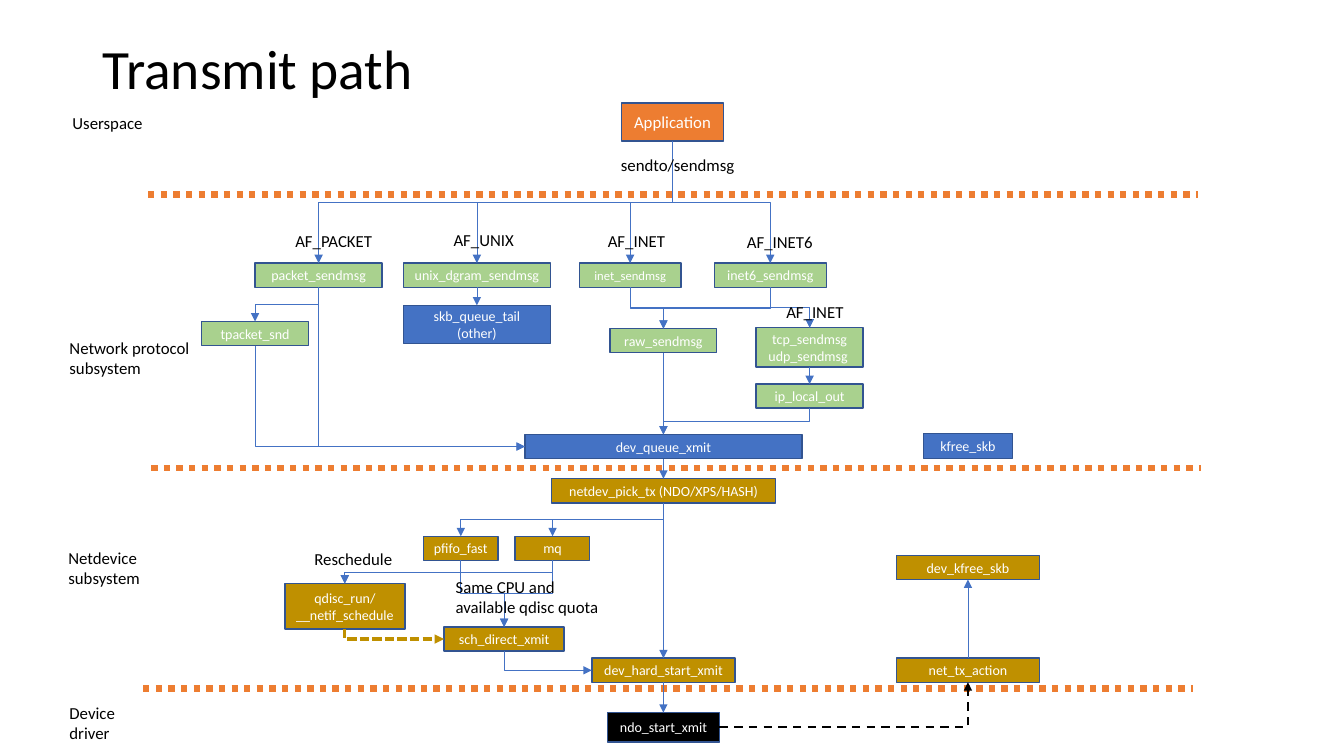
import lxml.etree
import pptx
import pptx.dml.color
import pptx.enum.dml
import pptx.enum.shapes
import pptx.enum.text
import pptx.oxml.ns
import pptx.util

Inches = pptx.util.Inches
Pt = pptx.util.Pt
qn = pptx.oxml.ns.qn
DASH = pptx.enum.dml.MSO_LINE
ALIGN = pptx.enum.text.PP_ALIGN
ANCHOR = pptx.enum.text.MSO_ANCHOR
AUTO_SIZE = pptx.enum.text.MSO_AUTO_SIZE
CONNECTOR = pptx.enum.shapes.MSO_CONNECTOR
RECTANGLE = pptx.enum.shapes.MSO_SHAPE.RECTANGLE

FONT = "Calibri"
COLORS = {
    "orange": "ED7D31", "green": "A9D18E", "blue": "4472C4", "gold": "BF9000",
    "black": "000000", "white": "FFFFFF", "outline": "325491",
}
TOP, LEFT, BOTTOM, RIGHT = range(4)

TITLE = ("Transmit path", 0.92, 0.4, 11.5, 0.62)

# name: lines, centre x, top, width, height, fill, text size
BOXES = {
    "application": (["Application"], 6.67, 1.02, 1.01, 0.38, "orange", 12),
    "packet": (["packet_sendmsg"], 3.16, 2.61, 1.26, 0.24, "green", 10),
    "unix": (["unix_dgram_sendmsg"], 4.73, 2.61, 1.46, 0.24, "green", 10),
    "inet": (["inet_sendmsg"], 6.25, 2.61, 1.01, 0.24, "green", 9),
    "inet6": (["inet6_sendmsg"], 7.64, 2.61, 1.11, 0.24, "green", 10),
    "queue_tail": (["skb_queue_tail (other)"], 4.73, 3.03, 1.46, 0.38, "blue", 10),
    "tcp_udp": (["tcp_sendmsg", "udp_sendmsg "], 8.03, 3.25, 1.06, 0.39, "green", 10),
    "raw": (["raw_sendmsg"], 6.58, 3.26, 1.06, 0.24, "green", 10),
    "tpacket": (["tpacket_snd"], 2.53, 3.19, 1.06, 0.24, "green", 10),
    "ip_out": (["ip_local_out"], 8.03, 3.81, 1.06, 0.24, "green", 10),
    "dev_queue": (["dev_queue_xmit"], 6.58, 4.31, 2.75, 0.24, "blue", 10),
    "kfree": (["kfree_skb"], 9.6, 4.3, 0.88, 0.25, "blue", 10),
    "pick_tx": (["netdev_pick_tx (NDO/XPS/HASH)"], 6.58, 4.75, 2.22, 0.24, "gold", 10),
    "pfifo": (["pfifo_fast"], 4.57, 5.32, 0.74, 0.24, "gold", 10),
    "mq": (["mq"], 5.48, 5.32, 0.74, 0.24, "gold", 10),
    "qdisc": (["qdisc_run/__netif_schedule"], 3.42, 5.79, 1.19, 0.45, "gold", 10),
    "direct": (["sch_direct_xmit"], 5, 6.22, 1.19, 0.24, "gold", 10),
    "hard_start": (["dev_hard_start_xmit"], 6.58, 6.53, 1.42, 0.24, "gold", 10),
    "ndo": (["ndo_start_xmit"], 6.58, 7.07, 1.11, 0.29, "black", 10),
    "tx_action": (["net_tx_action"], 9.6, 6.53, 1.42, 0.24, "gold", 10),
    "dev_kfree": (["dev_kfree_skb"], 9.6, 5.51, 1.42, 0.24, "gold", 10),
}

FLOWS_DOWN = [
    ("application", ["unix", "packet", "inet6", "inet"]),
    ("inet6", ["tcp_udp", "raw"]),
    ("inet", ["tcp_udp", "raw"]),
    ("unix", ["queue_tail"]),
    ("packet", ["tpacket"]),
    ("tcp_udp", ["ip_out"]),
    ("ip_out", ["dev_queue"]),
    ("raw", ["dev_queue"]),
    ("dev_queue", ["pick_tx"]),
    ("pick_tx", ["pfifo", "mq", "hard_start"]),
    ("pfifo", ["direct", "qdisc"]),
    ("mq", ["direct", "qdisc"]),
    ("hard_start", ["ndo"]),
]
THIN = ("blue", 0.5, None)
FLOWS_TURNING = [
    ("tpacket", BOTTOM, "dev_queue", LEFT, THIN),
    ("packet", BOTTOM, "dev_queue", LEFT, THIN),
    ("direct", BOTTOM, "hard_start", LEFT, THIN),
    ("qdisc", BOTTOM, "direct", LEFT, ("gold", 2.25, DASH.SQUARE_DOT)),
    ("ndo", RIGHT, "tx_action", BOTTOM, ("black", 1.5, DASH.DASH)),
    ("tx_action", TOP, "dev_kfree", BOTTOM, THIN),
]

BOUNDARIES = [(1.47, 1.93), (1.5, 4.64), (1.42, 6.83)]
BOUNDARY_LENGTH = 10.41
BOUNDARY_STYLE = ("orange", 4.5, DASH.ROUND_DOT)

LABELS = [
    (["sendto/sendmsg"], 6.06, 1.49, 1.34, 0.3, False),
    (["AF_PACKET"], 2.83, 2.24, 0.98, 0.3, False),
    (["AF_UNIX"], 4.4, 2.23, 0.81, 0.3, False),
    (["AF_INET"], 5.93, 2.24, 0.78, 0.3, False),
    (["AF_INET6"], 7.31, 2.25, 0.86, 0.3, False),
    (["AF_INET"], 7.7, 2.94, 0.78, 0.3, False),
    (["Userspace"], 0.62, 1.07, 0.91, 0.3, False),
    (["Network protocol", "subsystem"], 0.59, 3.3, 1.41, 0.5, False),
    (["Netdevice", "subsystem"], 0.58, 5.38, 0.92, 0.5, False),
    (["Same CPU and available qdisc quota"], 4.42, 5.67, 1.68, 0.5, True),
    (["Reschedule"], 3.02, 5.39, 1, 0.3, True),
    (["Device driver"], 0.59, 6.92, 0.72, 0.5, True),
]


def rgb(color):
    return pptx.dml.color.RGBColor.from_string(COLORS[color])


def write_lines(text_frame, lines, size, color, alignment=ALIGN.LEFT):
    for index, line in enumerate(lines):
        paragraph = text_frame.add_paragraph() if index else text_frame.paragraphs[0]
        paragraph.alignment = alignment
        run = paragraph.add_run()
        run.text = line
        run.font.name = FONT
        run.font.size = Pt(size)
        run.font.color.rgb = rgb(color)


def add_text(slide, lines, left, top, width, height, size, wrap):
    shape = slide.shapes.add_textbox(*map(Inches, (left, top, width, height)))
    shape.text_frame.word_wrap = wrap
    write_lines(shape.text_frame, lines, size, "black")
    return shape.text_frame


def add_box(slide, lines, center, top, width, height, fill, size):
    shape = slide.shapes.add_shape(
        RECTANGLE, *map(Inches, (center - width / 2, top, width, height)))
    shape.shadow.inherit = False
    shape.fill.solid()
    shape.fill.fore_color.rgb = rgb(fill)
    shape.line.color.rgb = rgb("outline")
    shape.line.width = Pt(1)
    shape.text_frame.word_wrap = True
    shape.text_frame.vertical_anchor = ANCHOR.MIDDLE
    write_lines(shape.text_frame, lines, size, "white", ALIGN.CENTER)
    return shape


def style_line(connector, style, arrow):
    color, width, dash = style
    connector.line.color.rgb = rgb(color)
    connector.line.width = Pt(width)
    if dash:
        connector.line.dash_style = dash
    if arrow:
        tail = lxml.etree.SubElement(connector.line._get_or_add_ln(), qn("a:tailEnd"))
        tail.set("type", "triangle")
    lxml.etree.SubElement(connector._element.spPr, qn("a:effectLst"))


def start_vertically(connector):
    begin_x, begin_y = connector.begin_x, connector.begin_y
    end_x, end_y = connector.end_x, connector.end_y
    across, down = abs(end_x - begin_x), abs(end_y - begin_y)
    connector.left = (begin_x + end_x - down) // 2
    connector.top = (begin_y + end_y - across) // 2
    connector.width, connector.height = down, across
    transform = connector._element.spPr.find(qn("a:xfrm"))
    for flip in ("flipH", "flipV"):
        transform.attrib.pop(flip, None)
    if end_x > begin_x:
        transform.set("rot", "16200000")
        transform.set("flipH", "1")
    else:
        transform.set("rot", "5400000")


def add_flow(slide, boxes, start, start_side, end, end_side, style):
    straight = BOXES[start][1] == BOXES[end][1]
    kind = CONNECTOR.STRAIGHT if straight else CONNECTOR.ELBOW
    connector = slide.shapes.add_connector(kind, 0, 0, 0, 0)
    connector.begin_connect(boxes[start], start_side)
    connector.end_connect(boxes[end], end_side)
    if not straight:
        if start_side == BOTTOM:
            start_vertically(connector)
        if (start_side, end_side) != (BOTTOM, TOP):
            geometry = connector._element.spPr.find(qn("a:prstGeom"))
            geometry.set("prst", "bentConnector2")
    style_line(connector, style, True)


def main():
    presentation = pptx.Presentation()
    presentation.slide_width = Inches(13.33)
    presentation.slide_height = Inches(7.5)
    slide = presentation.slides.add_slide(presentation.slide_layouts[6])

    text, *place = TITLE
    title = add_text(slide, [text], *place, 39.6, True)
    title.vertical_anchor = ANCHOR.MIDDLE
    title.paragraphs[0].line_spacing = 0.9

    for left, top in BOUNDARIES:
        boundary = slide.shapes.add_connector(
            CONNECTOR.STRAIGHT, *map(Inches, (left, top, left + BOUNDARY_LENGTH, top)))
        style_line(boundary, BOUNDARY_STYLE, False)

    boxes = {name: add_box(slide, *box) for name, box in BOXES.items()}
    for start, ends in FLOWS_DOWN:
        for end in ends:
            add_flow(slide, boxes, start, BOTTOM, end, TOP, THIN)
    for flow in FLOWS_TURNING:
        add_flow(slide, boxes, *flow)

    for lines, left, top, width, height, wrap in LABELS:
        label = add_text(slide, lines, left, top, width, height, 12, wrap)
        label.auto_size = AUTO_SIZE.SHAPE_TO_FIT_TEXT

    presentation.save("out.pptx")


if __name__ == "__main__":
    main()
